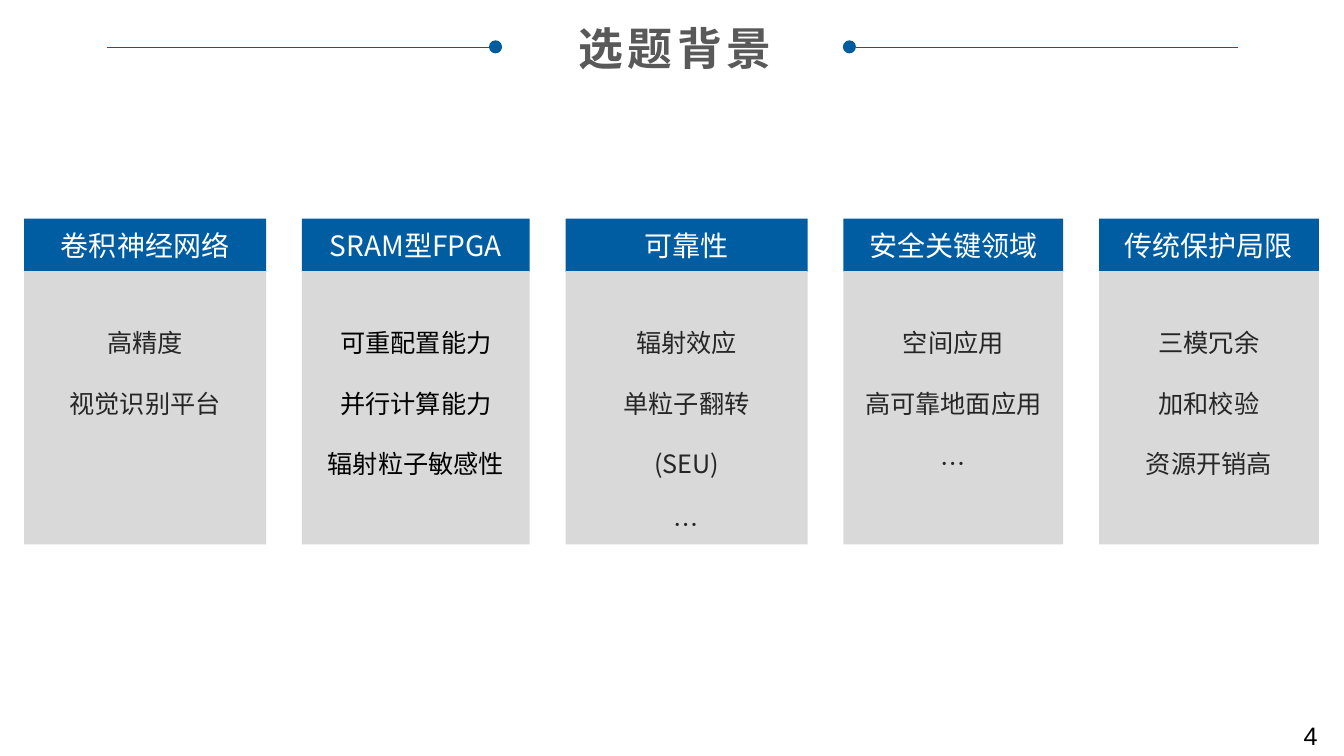
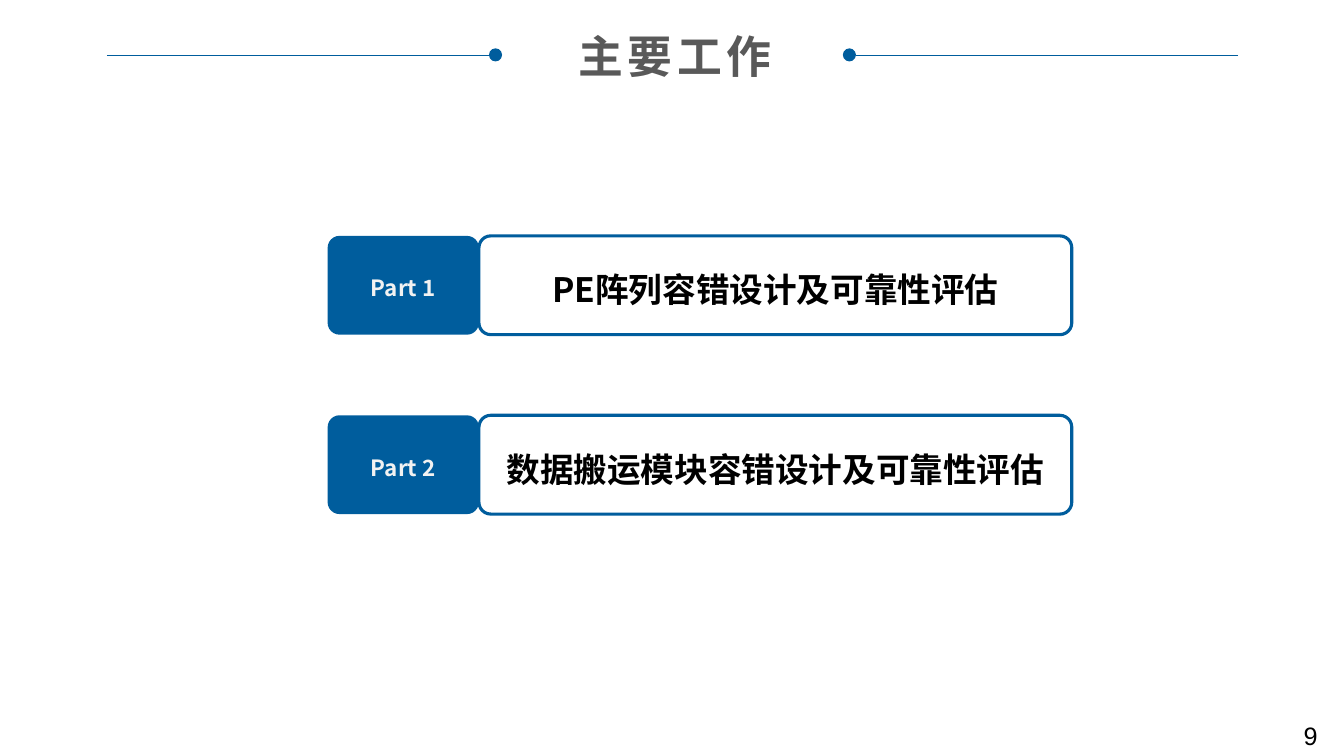
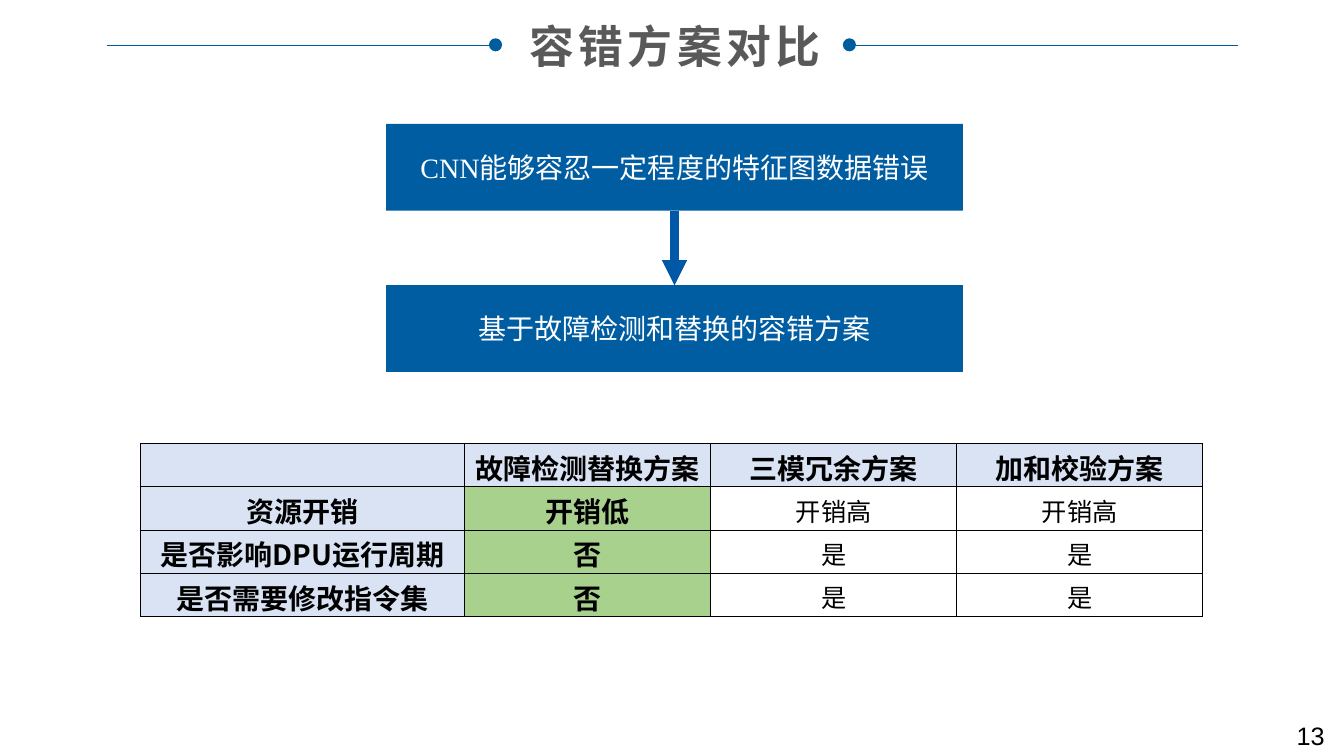
from dataclasses import dataclass

from lxml import etree
from pptx import Presentation
from pptx import util as u
from pptx.dml.color import RGBColor
from pptx.enum import shapes, text
from pptx.oxml.ns import qn

PX = 9144  # EMU: 100 px to the inch


@dataclass(frozen=True)
class Theme:
    blue: str = "005D9D"
    bar: str = "005DA2"
    arrow: str = "0058A7"
    panel: str = "D9D9D9"
    head_cell: str = "DAE3F3"
    best_cell: str = "A9D18E"
    title: str = "595959"
    body: str = "262626"
    pale: str = "F2F2F2"
    white: str = "FFFFFF"
    black: str = "000000"
    sans: str = "Noto Sans CJK SC"
    arial: str = "Arial"
    serif: str = "Times New Roman"
    title_size: int = 32
    statement_size: int = 24
    head_size: int = 20
    body_size: int = 18
    tag_size: int = 16


T = Theme()

# heading, column width, body colour, body lines
BACKGROUND = [
    ("卷积神经网络", 240, T.body, ["高精度", "视觉识别平台"]),
    ("SRAM型FPGA", 226, T.black, ["可重配置能力", "并行计算能力", "辐射粒子敏感性"]),
    ("可靠性", 240, T.body, ["辐射效应", "单粒子翻转(SEU)", "…"]),
    ("安全关键领域", 218, T.body, ["空间应用", "高可靠地面应用", "…"]),
    ("传统保护局限", 218, T.body, ["三模冗余", "加和校验", "资源开销高"]),
]
WORK = [
    ("Part 1", "PE阵列容错设计及可靠性评估"),
    ("Part 2", "数据搬运模块容错设计及可靠性评估"),
]
REASONING = ["CNN能够容忍一定程度的特征图数据错误", "基于故障检测和替换的容错方案"]
COMPARISON = [
    ("", "故障检测替换方案", "三模冗余方案", "加和校验方案"),
    ("资源开销", "开销低", "开销高", "开销高"),
    ("是否影响DPU运行周期", "否", "是", "是"),
    ("是否需要修改指令集", "否", "是", "是"),
]


def px(*lengths):
    return [u.Emu(round(length * PX)) for length in lengths]


def rgb(code):
    return RGBColor.from_string(code)


def write(frame, lines, size, color, face=T.sans, bold=False, leading=None, tracking=None):
    """Fill a text frame with centred paragraphs."""
    for index, line in enumerate(lines):
        paragraph = frame.paragraphs[0] if index == 0 else frame.add_paragraph()
        paragraph.alignment = text.PP_ALIGN.CENTER
        if leading:
            paragraph.line_spacing = leading
        run = paragraph.add_run()
        run.text = line
        for key, value in {"size": u.Pt(size), "name": face, "bold": bold}.items():
            setattr(run.font, key, value)
        run.font.color.rgb = rgb(color)
        properties = run.font._element
        if tracking:
            properties.set("spc", str(tracking * 100))
        east_asian = etree.SubElement(properties, qn("a:ea"))
        east_asian.set("typeface", T.sans)


def set_frame(frame, margins=(10, 5, 10, 5), anchor=text.MSO_ANCHOR.MIDDLE, wrap=True):
    """Margins are left, top, right, bottom in px."""
    frame.word_wrap = wrap
    frame.vertical_anchor = anchor
    for side, margin in zip(("left", "top", "right", "bottom"), px(*margins)):
        setattr(frame, f"margin_{side}", margin)
    return frame


def add_block(slide, box, fill=None, line=None, kind=shapes.MSO_SHAPE.RECTANGLE, corner=None):
    block = slide.shapes.add_shape(kind, *px(*box))
    block.shadow.inherit = False
    if corner:
        block.adjustments[0] = corner
    if fill:
        block.fill.solid()
        block.fill.fore_color.rgb = rgb(fill)
    else:
        block.fill.background()
    if line:
        block.line.color.rgb = rgb(line)
        block.line.width = u.Pt(2.25)
    else:
        block.line.fill.background()
    return block


def add_text(slide, box, *args, wrap=True, margins=(10, 5, 10, 5), **style):
    frame = slide.shapes.add_textbox(*px(*box)).text_frame
    set_frame(frame, margins, text.MSO_ANCHOR.TOP, wrap)
    write(frame, *args, **style)


def add_line(slide, start, end, color, width, arrow=False):
    line = slide.shapes.add_connector(shapes.MSO_CONNECTOR.STRAIGHT, *px(*start, *end))
    line.line.color.rgb = rgb(color)
    line.line.width = u.Pt(width)
    if arrow:
        etree.SubElement(line.line._get_or_add_ln(), qn("a:tailEnd")).set("type", "triangle")
    etree.SubElement(line._element.spPr, qn("a:effectLst"))


def start_slide(deck, title, top, number):
    """Add a slide with its title, the ruled dots beside it and the page number."""
    slide = deck.slides.add_slide(deck.slide_layouts[6])
    middle, dot = top + 31, 13
    for outer, inner, dot_left in ((106, 485, 485), (1228, 849, 836)):
        add_line(slide, (outer, middle), (inner, middle), T.blue, 0.25)
        add_block(slide, (dot_left, middle - 7, dot, dot), T.blue, kind=shapes.MSO_SHAPE.OVAL)
    width = 49 * len(title) + 21
    add_text(slide, (669.5 - width / 2, top, width, 64), [title], T.title_size, T.title,
             T.arial, wrap=False, bold=True, tracking=3)
    add_text(slide, (1267, 710, 66, 40), [str(number)], T.body_size, T.black, T.arial,
             margins=(0, 5, 0, 5))
    return slide


def build_background(deck):
    slide = start_slide(deck, "选题背景", 16, 4)
    left, right, text_width = 24, 1308, 180
    gap = (right - left - sum(column[1] for column in BACKGROUND)) / (len(BACKGROUND) - 1)
    for heading, width, color, lines in BACKGROUND:
        bar = add_block(slide, (left, 217, width, 53), T.bar)
        write(set_frame(bar.text_frame), [heading], T.head_size, T.white)
        panel = add_block(slide, (left, 269, width, 271), T.panel)
        side = (width - text_width) / 2
        frame = set_frame(panel.text_frame, (side, 26, side, 5), text.MSO_ANCHOR.TOP)
        write(frame, lines, T.body_size, color, leading=2.0)
        left += width + gap


def build_work(deck):
    slide = start_slide(deck, "主要工作", 24, 9)
    rounded = shapes.MSO_SHAPE.ROUNDED_RECTANGLE
    for index, (tag, statement) in enumerate(WORK):
        top = 234 + 178 * index
        outline = add_block(slide, (475, top, 588, 98), line=T.blue, kind=rounded, corner=0.12)
        write(set_frame(outline.text_frame), [statement], T.statement_size, T.black,
              bold=True, leading=1.2)
        label = add_block(slide, (325, top, 150, 98), T.blue, kind=rounded, corner=0.12)
        write(set_frame(label.text_frame), [tag], T.tag_size, T.pale, bold=True, leading=1.2)


def add_borders(cell):
    properties = cell._tc.get_or_add_tcPr()
    for edge in ("lnL", "lnR", "lnT", "lnB"):
        border = etree.SubElement(properties, qn(f"a:{edge}"), w=str(u.Pt(1)))
        fill = etree.SubElement(border, qn("a:solidFill"))
        etree.SubElement(fill, qn("a:srgbClr"), val=T.black)


def add_comparison(slide):
    widths, row_height = (322, 244, 244, 244), 43
    box = (139, 440, sum(widths), row_height * len(COMPARISON))
    table = slide.shapes.add_table(len(COMPARISON), len(widths), *px(*box)).table
    table.first_row = table.horz_banding = False
    for column, width in zip(table.columns, px(*widths)):
        column.width = width
    for r, row in enumerate(COMPARISON):
        for c, value in enumerate(row):
            cell = table.cell(r, c)
            add_borders(cell)
            heading = r == 0 or c == 0
            strong = heading or c == 1
            fill = T.head_cell if heading else T.best_cell if strong else T.white
            cell.fill.solid()
            cell.fill.fore_color.rgb = rgb(fill)
            cell.vertical_anchor = text.MSO_ANCHOR.MIDDLE
            for side, margin in zip(("left", "top", "right", "bottom"), px(7, 3, 7, 0)):
                setattr(cell, f"margin_{side}", margin)
            if value:
                write(cell.text_frame, [value], T.head_size if strong else T.body_size,
                      T.black, bold=strong)


def build_comparison(deck):
    slide = start_slide(deck, "容错方案对比", 14, 13)
    add_comparison(slide)
    left, top, width, height, step = 383, 123, 572, 86, 160
    for index, statement in enumerate(REASONING):
        step_box = add_block(slide, (left, top + step * index, width, height), T.bar)
        write(set_frame(step_box.text_frame), [statement], T.head_size, T.white, T.serif)
    center = left + width / 2
    add_line(slide, (center, top + height), (center, top + step), T.arrow, 6, arrow=True)


def main():
    deck = Presentation()
    deck.slide_width, deck.slide_height = px(1333, 750)
    for build in (build_background, build_work, build_comparison):
        build(deck)
    deck.save("out.pptx")


if __name__ == "__main__":
    main()
